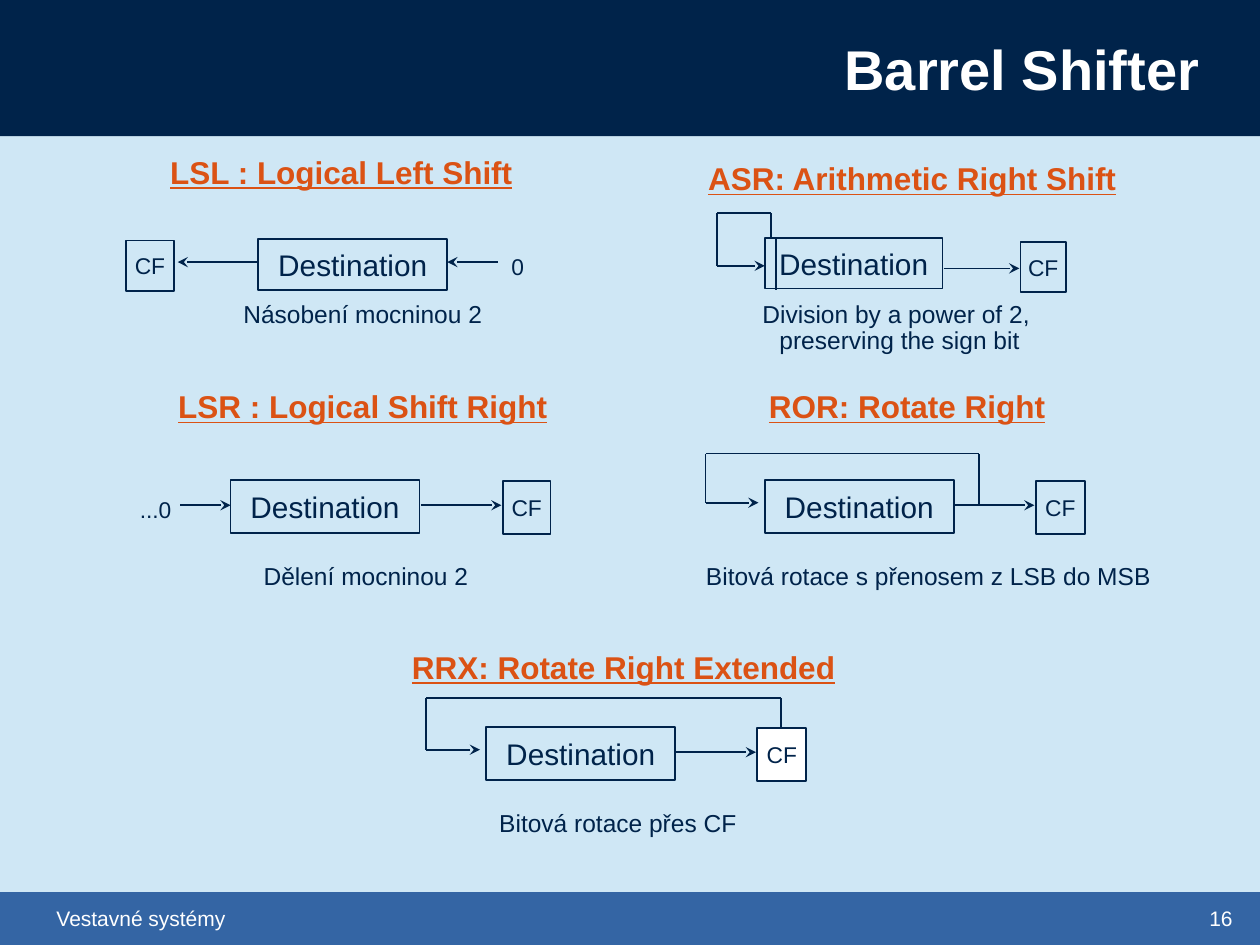
from lxml.etree import SubElement
from pptx import Presentation
from pptx.dml.color import RGBColor
from pptx.enum.shapes import MSO_CONNECTOR, MSO_SHAPE
from pptx.enum.text import MSO_ANCHOR, PP_ALIGN
from pptx.oxml.ns import qn
from pptx.util import Inches, Pt

COLORS = {
    "background": "CFE7F5",
    "navy": "00234A",
    "footer": "3465A4",
    "heading": "DB5214",
    "white": "FFFFFF",
}


class SlideBuilder:
    font = "Arial"
    line_width = Pt(1)

    def __init__(self, page):
        self.page = page
        page.background.fill.solid()
        page.background.fill.fore_color.rgb = self.color("background")

    def color(self, name):
        return RGBColor.from_string(COLORS[name])

    def set_text(self, shape, text, size, color="navy", align=PP_ALIGN.CENTER, bold=False,
                 underline=False, spacing=1.0, wrap=False, anchor=MSO_ANCHOR.MIDDLE,
                 insets=(0.1, 0.05)):
        frame = shape.text_frame
        frame.text = text
        frame.word_wrap = wrap
        frame.vertical_anchor = anchor
        frame.margin_left = frame.margin_right = Inches(insets[0])
        frame.margin_top = frame.margin_bottom = Inches(insets[1])
        para = frame.paragraphs[0]
        para.alignment = align
        para.line_spacing = spacing
        for span in para.runs:
            span.font.name = self.font
            span.font.size = Pt(size)
            span.font.bold = bold
            span.font.underline = underline
            span.font.color.rgb = self.color(color)

    def text(self, left, top, width, height, text, size, **style):
        box = self.page.shapes.add_textbox(
            Inches(left), Inches(top), Inches(width), Inches(height))
        self.set_text(box, text, size, **style)

    def heading(self, left, top, width, text):
        self.text(left, top, width, 0.37, text, 18, color="heading", bold=True,
                  underline=True, spacing=0.9, wrap=True, anchor=MSO_ANCHOR.TOP)

    def caption(self, left, top, width, text, height=0.31):
        self.text(left, top, width, height, text, 14, spacing=0.9, anchor=MSO_ANCHOR.TOP)

    def rectangle(self, left, top, width, height, fill=None, outline=None):
        box = self.page.shapes.add_shape(
            MSO_SHAPE.RECTANGLE, Inches(left), Inches(top), Inches(width), Inches(height))
        box.shadow.inherit = False
        if fill:
            box.fill.solid()
            box.fill.fore_color.rgb = self.color(fill)
        else:
            box.fill.background()
        if outline:
            box.line.color.rgb = self.color(outline)
            box.line.width = self.line_width
        else:
            box.line.fill.background()
        return box

    def register(self, left, top, width, height, text="Destination", size=17, fill=None):
        box = self.rectangle(left, top, width, height, fill, "navy")
        self.set_text(box, text, size, insets=(0.07, 0.04))

    def carry_flag(self, left, top, width, height, fill=None):
        self.register(left, top, width, height, "CF", 13, fill)

    def line(self, x1, y1, x2, y2, arrow=False):
        connector = self.page.shapes.add_connector(
            MSO_CONNECTOR.STRAIGHT, Inches(x1), Inches(y1), Inches(x2), Inches(y2))
        connector.line.color.rgb = self.color("navy")
        connector.line.width = self.line_width
        properties = connector.element.spPr
        if arrow:
            SubElement(properties.find(qn("a:ln")), qn("a:tailEnd"), type="stealth")
        SubElement(properties, qn("a:effectLst"))

    def arrow(self, x1, y1, x2, y2):
        self.line(x1, y1, x2, y2, arrow=True)

    def feedback(self, left, top, right, start, end, tip):
        self.line(right, start, right, top)
        self.line(right, top, left, top)
        self.line(left, top, left, end)
        self.arrow(left, end, tip, end)


def main():
    deck = Presentation()
    deck.slide_width, deck.slide_height = Inches(10), Inches(7.5)
    builder = SlideBuilder(deck.slides.add_slide(deck.slide_layouts[6]))

    builder.rectangle(0, 0, 10, 1.08, "navy")
    builder.rectangle(0, 7.08, 10, 0.42, "footer")
    for left, width, text in [(9.5, 0.5, "16"), (0.35, 8.33, "Vestavné systémy")]:
        builder.text(left, 7.14, width, 0.3, text, 12, color="white",
                     align=PP_ALIGN.LEFT, wrap=True)
    builder.text(2.17, 0, 7.45, 1.08, "Barrel Shifter", 32, color="white",
                 align=PP_ALIGN.RIGHT, bold=True, wrap=True)

    builder.heading(1.01, 1.2, 3.4, "LSL : Logical Left Shift")
    builder.register(2.05, 1.9, 1.5, 0.4)
    builder.carry_flag(1, 1.91, 0.38, 0.4)
    builder.arrow(2.04, 2.08, 1.41, 2.08)
    builder.arrow(3.95, 2.08, 3.55, 2.08)
    builder.text(4.01, 2, 0.2, 0.25, "0", 13, spacing=0.9, insets=(0.05, 0.03))
    builder.caption(1.83, 2.35, 2.1, "Násobení mocninou 2")

    builder.heading(5.42, 1.25, 3.64, "ASR: Arithmetic Right Shift")
    builder.register(6.07, 1.89, 1.41, 0.4)
    builder.carry_flag(8.1, 1.92, 0.36, 0.4)
    builder.arrow(7.49, 2.13, 8.09, 2.13)
    builder.feedback(5.69, 1.69, 6.12, 1.89, 2.11, 6.07)
    builder.line(6.16, 1.89, 6.16, 2.3)
    builder.caption(5.95, 2.35, 2.38, "Division by a power of 2, \vpreserving the sign bit", 0.52)

    builder.heading(1.18, 3.06, 3.4, "LSR : Logical Shift Right")
    builder.register(1.83, 3.81, 1.5, 0.42)
    builder.carry_flag(3.99, 3.82, 0.38, 0.42)
    builder.arrow(3.34, 4.01, 3.98, 4.01)
    builder.arrow(1.43, 4.01, 1.83, 4.01)
    builder.text(1.06, 3.91, 0.36, 0.26, "...0", 13, align=PP_ALIGN.LEFT, insets=(0.05, 0.02))
    builder.caption(1.99, 4.43, 1.83, "Dělení mocninou 2")

    builder.heading(5.5, 3.06, 3.4, "ROR: Rotate Right")
    builder.register(6.07, 3.81, 1.5, 0.42)
    builder.carry_flag(8.22, 3.82, 0.39, 0.42)
    builder.arrow(7.57, 4.01, 8.21, 4.01)
    builder.feedback(5.6, 3.6, 7.77, 4.01, 3.99, 6.02)
    builder.caption(5.5, 4.43, 3.74, "Bitová rotace s přenosem z LSB do MSB")

    builder.heading(3.12, 5.13, 3.66, "RRX: Rotate Right Extended")
    builder.register(3.86, 5.77, 1.5, 0.42)
    builder.arrow(5.36, 5.97, 6, 5.97)
    builder.feedback(3.38, 5.54, 6.2, 5.79, 5.95, 3.81)
    builder.carry_flag(6.01, 5.78, 0.39, 0.42, "white")
    builder.caption(3.86, 6.39, 2.09, "Bitová rotace přes CF")

    deck.save("out.pptx")


if __name__ == "__main__":
    main()
